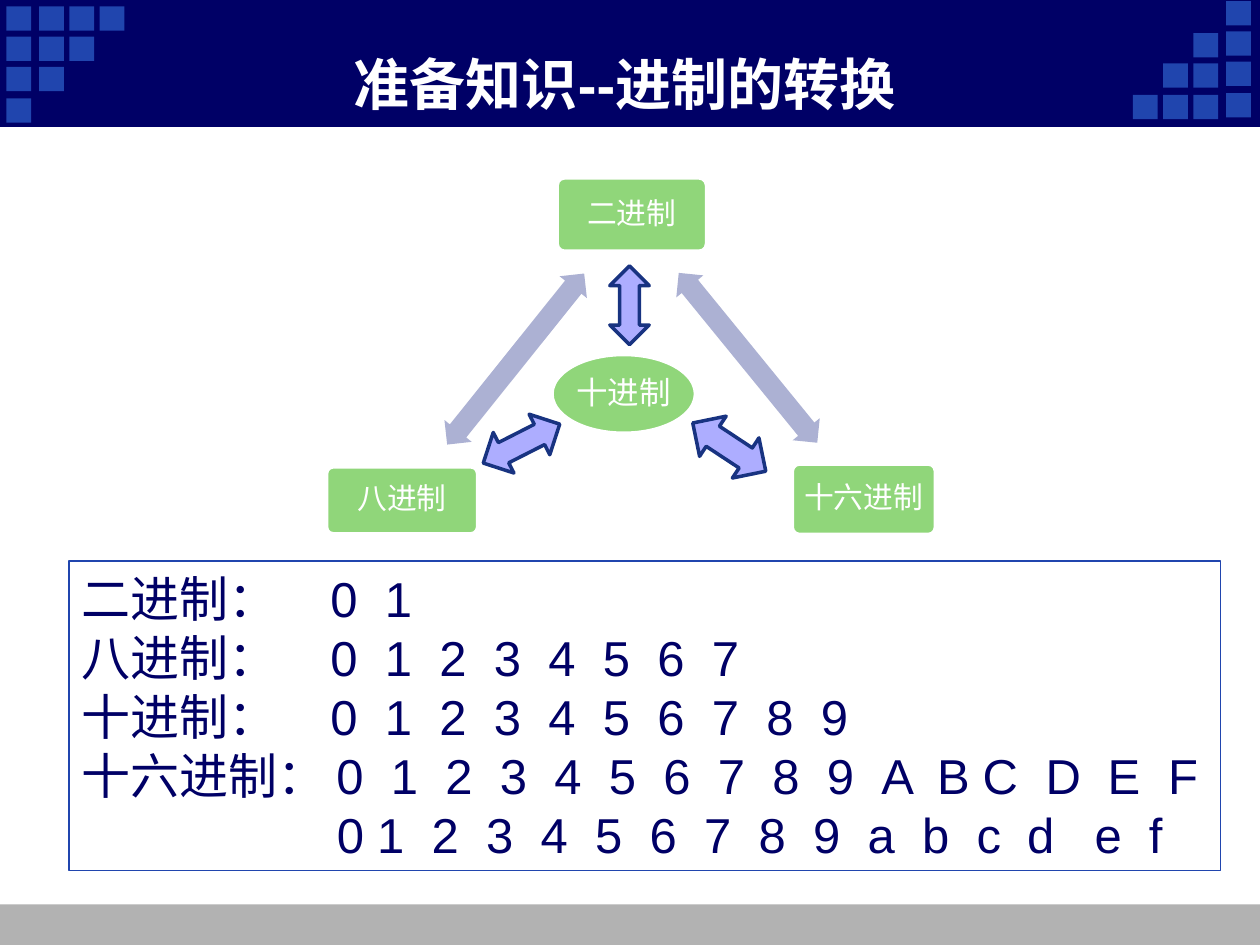
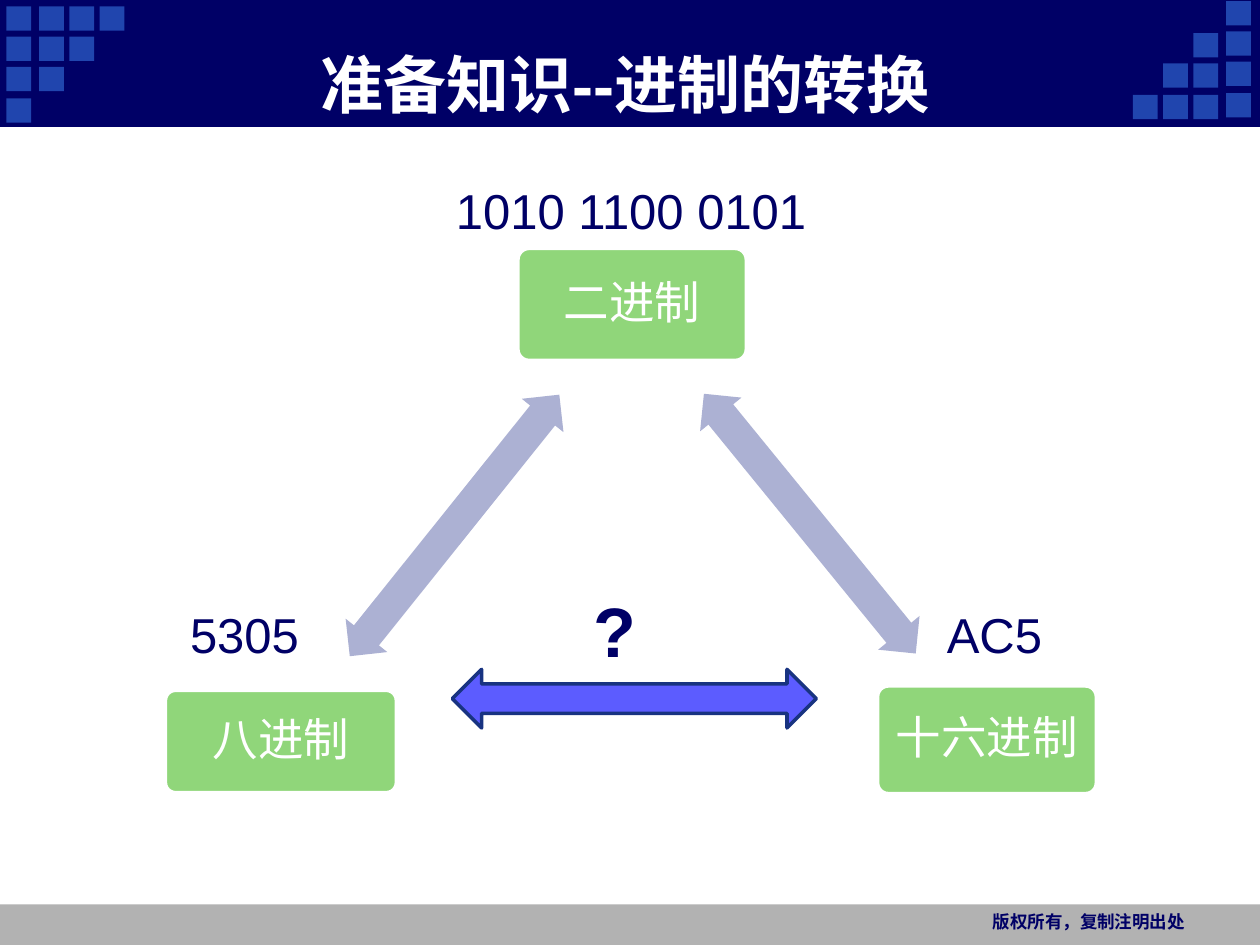
from lxml import etree
from pptx import Presentation
from pptx.dml.color import RGBColor
from pptx.enum.shapes import MSO_SHAPE
from pptx.enum.text import MSO_ANCHOR, PP_ALIGN
from pptx.oxml.ns import qn
from pptx.util import Pt

# Colours
NAVY = RGBColor(0x00, 0x00, 0x66)
BLUE = RGBColor(0x20, 0x45, 0xAE)
OUTLINE = RGBColor(0x18, 0x33, 0x81)
GREEN = RGBColor(0x90, 0xD6, 0x7A)
LAVENDER = RGBColor(0xAC, 0xB1, 0xD3)
PALE_VIOLET = RGBColor(0xAD, 0xAD, 0xFF)
VIOLET = RGBColor(0x5C, 0x5C, 0xFF)
GREY = RGBColor(0xB2, 0xB2, 0xB2)
WHITE = RGBColor(0xFF, 0xFF, 0xFF)

# Enum members
RECTANGLE = MSO_SHAPE.RECTANGLE
ROUNDED = MSO_SHAPE.ROUNDED_RECTANGLE
OVAL = MSO_SHAPE.OVAL
HORIZONTAL_ARROW = MSO_SHAPE.LEFT_RIGHT_ARROW
VERTICAL_ARROW = MSO_SHAPE.UP_DOWN_ARROW
LEFT, CENTER, RIGHT = PP_ALIGN.LEFT, PP_ALIGN.CENTER, PP_ALIGN.RIGHT
TOP, MIDDLE = MSO_ANCHOR.TOP, MSO_ANCHOR.MIDDLE

BODY_FONT, BOX_FONT = "Arial", "Courier New"
TITLE = "准备知识--进制的转换"

# Corner squares, measured from the top left corner
SQUARE_LEFTS = (3.6, 22.3, 39.6, 56.9)
SQUARE_TOPS = (3.6, 20.9, 38.2, 56.2)

# Digit rows
DIGIT_PITCH = 31.14
DIGITS = "0123456789"


def digit_stops(start, count):
    return [start + index * DIGIT_PITCH for index in range(count)]


# Label, digits and the tab stop of each digit
DIGIT_ROWS = [
    ("二进制：", DIGITS[:2], digit_stops(142.3, 2)),
    ("八进制：", DIGITS[:8], digit_stops(142.3, 8)),
    ("十进制：", DIGITS, digit_stops(142.3, 10)),
    ("十六进制：", DIGITS + "ABCDEF",
     digit_stops(145.7, 11) + [489, 515, 551, 586.5, 621]),
    ("", DIGITS + "abcdef",
     [146] + digit_stops(169, 12) + [540.5, 579, 610]),
]


def add_shape(slide, kind, left, top, width, height, fill=None, line=None,
              line_width=0.75, rotation=0, adjustments=()):
    shape = slide.shapes.add_shape(kind, Pt(left), Pt(top), Pt(width), Pt(height))
    shape.shadow.inherit = False
    shape.rotation = rotation
    for index, value in enumerate(adjustments):
        shape.adjustments[index] = value
    if fill is None:
        shape.fill.background()
    else:
        shape.fill.solid()
        shape.fill.fore_color.rgb = fill
    if line is None:
        shape.line.fill.background()
    else:
        shape.line.color.rgb = line
        shape.line.width = Pt(line_width)
    return shape


def add_tab_stops(paragraph, stops):
    properties = paragraph._p.get_or_add_pPr()
    tab_list = etree.SubElement(properties, qn("a:tabLst"))
    for stop in stops:
        etree.SubElement(tab_list, qn("a:tab"), pos=str(int(Pt(stop))), algn="l")


def write_text(shape, lines, size, color=NAVY, font=BODY_FONT, bold=False,
               align=LEFT, anchor=MIDDLE, margins=(7.2, 3.6), spacing=1.0, stops=()):
    frame = shape.text_frame
    frame.word_wrap = True
    frame.vertical_anchor = anchor
    frame.margin_left = frame.margin_right = Pt(margins[0])
    frame.margin_top = frame.margin_bottom = Pt(margins[1])
    for index, line in enumerate(lines):
        paragraph = frame.add_paragraph() if index else frame.paragraphs[0]
        paragraph.alignment = align
        paragraph.line_spacing = spacing
        if stops:
            add_tab_stops(paragraph, stops[index])
        run = paragraph.add_run()
        run.text = line
        run.font.size = Pt(size)
        run.font.name = font
        run.font.bold = bold
        run.font.color.rgb = color


def add_label(slide, text, left, top, width, height, size, **text_format):
    box = slide.shapes.add_textbox(Pt(left), Pt(top), Pt(width), Pt(height))
    write_text(box, [text], size, **text_format)


def add_node(slide, kind, text, left, top, width, height, size):
    adjustments = (0.1,) if kind == ROUNDED else ()
    node = add_shape(slide, kind, left, top, width, height, GREEN, WHITE, 2,
                     adjustments=adjustments)
    write_text(node, [text], size, color=WHITE, font=BOX_FONT, align=CENTER,
               margins=(0, 0), spacing=0.9)


def add_outlined_arrow(slide, kind, left, top, width, height, fill, rotation=0):
    add_shape(slide, kind, left, top, width, height, fill, OUTLINE, 2, rotation)


def add_corner_squares(slide):
    for row, top in enumerate(SQUARE_TOPS):
        for left in SQUARE_LEFTS[:4 - row]:
            add_shape(slide, RECTANGLE, left, top, 14.2, 13.9, BLUE)
        for column, left in enumerate(SQUARE_LEFTS[:row + 1]):
            lowered = 0.9 if column else 0
            add_shape(slide, RECTANGLE, 704.2 - left, top - 2.9 + lowered,
                      14.2, 13.9, BLUE)


def add_base_slide(presentation, title_size):
    slide = presentation.slides.add_slide(presentation.slide_layouts[6])
    add_shape(slide, RECTANGLE, 0, 516.8, 720, 23.2, GREY)
    add_shape(slide, RECTANGLE, 0, 0, 720, 72, NAVY, NAVY)
    add_corner_squares(slide)
    add_label(slide, TITLE, 66, 25, 582, 45, title_size, color=WHITE, bold=True,
              align=CENTER)
    return slide


def add_base_triangle(slide, text_size, scale=1.0, offset_left=0, offset_top=0):
    def place(left, top, width, height):
        return (offset_left + left * scale, offset_top + top * scale,
                width * scale, height * scale)

    add_node(slide, ROUNDED, "二进制", *place(296, 142, 130.5, 64), text_size)
    add_node(slide, ROUNDED, "十六进制", *place(501.5, 392, 125, 61.5), text_size)
    add_node(slide, ROUNDED, "八进制", *place(94.5, 394.5, 132, 58.5), text_size)
    for left, top, rotation in ((367, 284, 50.8), (164, 285, 308.7)):
        add_shape(slide, HORIZONTAL_ARROW, *place(left, top, 191.5, 30.5), LAVENDER,
                  rotation=rotation, adjustments=(0.6, 0.5))


def add_digit_table(slide):
    box = add_shape(slide, RECTANGLE, 39.4, 320.6, 658, 177, line=BLUE)
    lines = ["\t".join([label, *digits]) for label, digits, _ in DIGIT_ROWS]
    write_text(box, lines, 28, stops=[stops for _, _, stops in DIGIT_ROWS])


def build_overview(presentation):
    slide = add_base_slide(presentation, 32)
    add_base_triangle(slide, 17, 0.654, 124.8, 8.8)
    add_node(slide, OVAL, "十进制", 315.4, 202.6, 82, 45, 18)
    for left, top, width, height, rotation in (
            (348.5, 152, 22.5, 45, 0),
            (285, 229, 26, 49, 63),
            (403, 230.5, 27.5, 50, 303.4)):
        add_outlined_arrow(slide, VERTICAL_ARROW, left, top, width, height,
                           PALE_VIOLET, rotation)
    add_digit_table(slide)


def build_example(presentation):
    slide = add_base_slide(presentation, 36)
    add_label(slide, "版权所有，复制注明出处", 547, 517, 137, 23, 10, font=BOX_FONT,
              bold=True, align=RIGHT, anchor=TOP)
    add_base_triangle(slide, 26)
    add_outlined_arrow(slide, HORIZONTAL_ARROW, 258.5, 382.5, 208, 33.5, VIOLET)
    add_label(slide, "?", 332, 332, 53, 55.5, 40, bold=True)
    add_label(slide, "AC5", 534, 341.5, 78.5, 41, 28)
    add_label(slide, "1010 1100 0101", 253.5, 99.5, 230.5, 41, 28)
    add_label(slide, "5305", 101.5, 341.5, 78.5, 41, 28)


def main():
    presentation = Presentation()
    presentation.slide_width, presentation.slide_height = Pt(720), Pt(540)
    build_overview(presentation)
    build_example(presentation)
    presentation.save("out.pptx")


if __name__ == "__main__":
    main()
